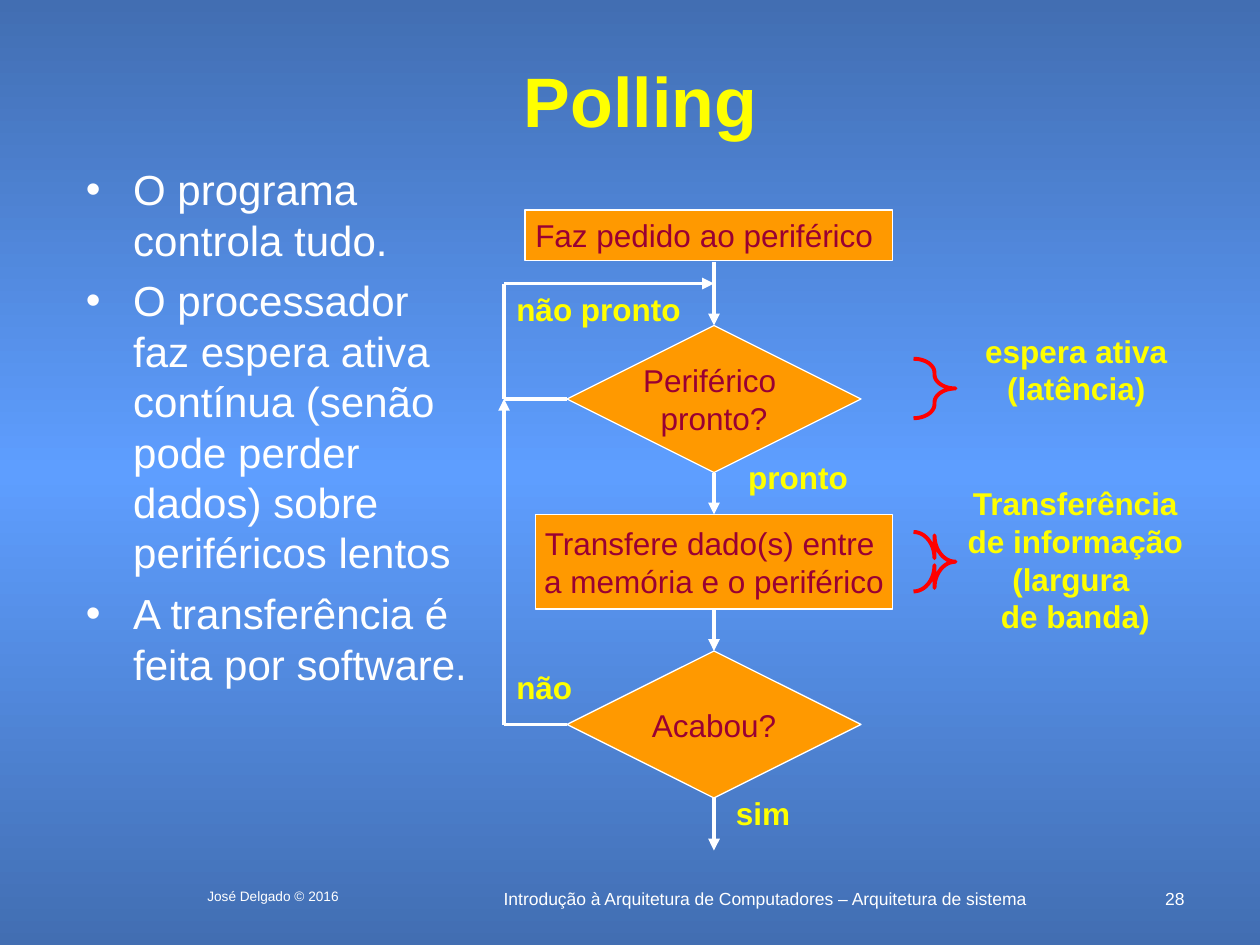
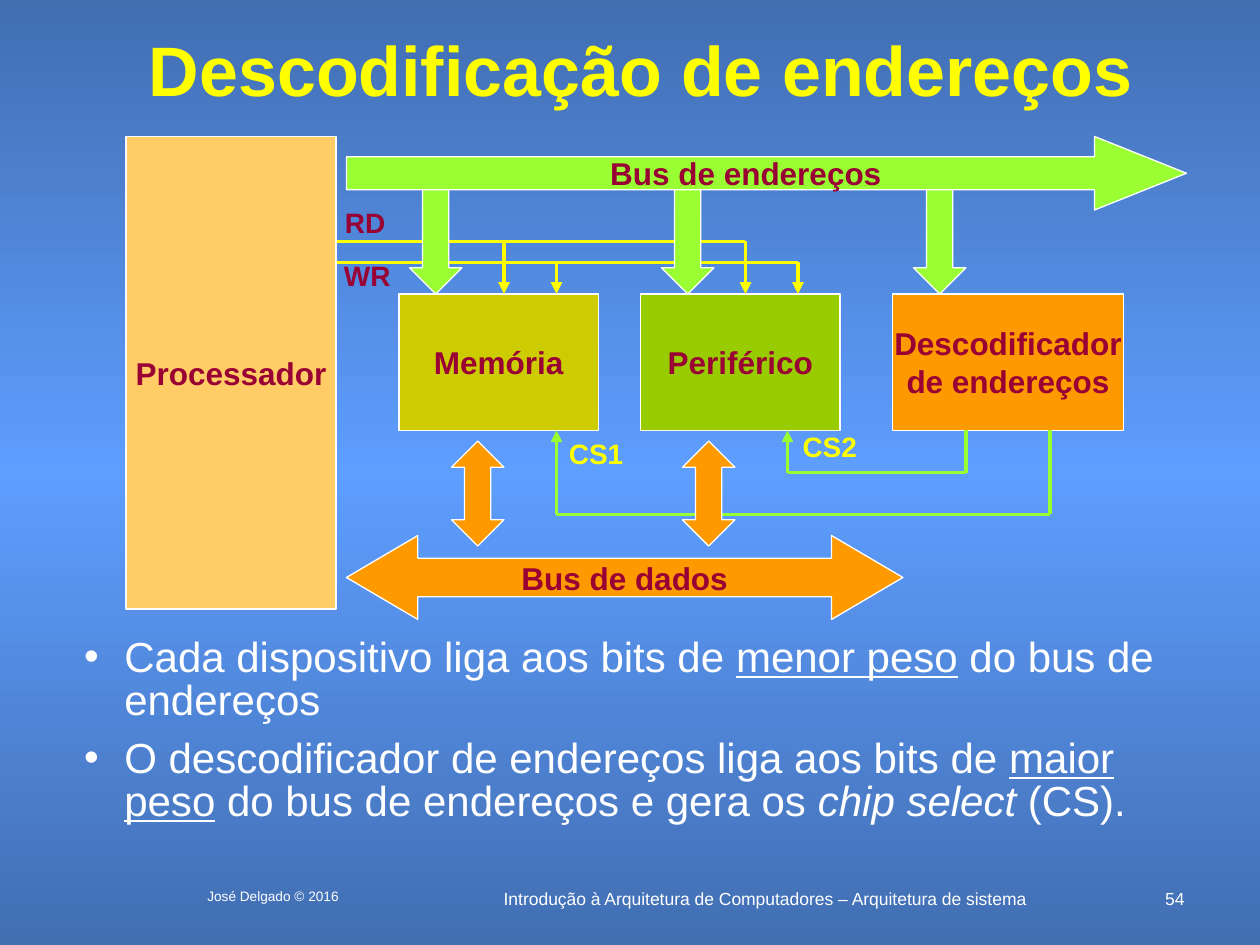
from collections import namedtuple
from copy import deepcopy
from math import cos, pi, sin

from lxml import etree
from pptx import Presentation
from pptx.dml.color import RGBColor
from pptx.enum.shapes import MSO_CONNECTOR, MSO_SHAPE
from pptx.enum.text import MSO_ANCHOR, MSO_AUTO_SIZE, PP_ALIGN
from pptx.oxml.ns import qn
from pptx.util import Pt

STRAIGHT = MSO_CONNECTOR.STRAIGHT
RECTANGLE, DIAMOND = MSO_SHAPE.RECTANGLE, MSO_SHAPE.DIAMOND
DOWN_ARROW, RIGHT_ARROW = MSO_SHAPE.DOWN_ARROW, MSO_SHAPE.RIGHT_ARROW
UP_DOWN_ARROW, LEFT_RIGHT_ARROW = MSO_SHAPE.UP_DOWN_ARROW, MSO_SHAPE.LEFT_RIGHT_ARROW
LEFT, CENTER, RIGHT = PP_ALIGN.LEFT, PP_ALIGN.CENTER, PP_ALIGN.RIGHT
TOP, MIDDLE = MSO_ANCHOR.TOP, MSO_ANCHOR.MIDDLE
FIT_SHAPE = MSO_AUTO_SIZE.SHAPE_TO_FIT_TEXT

SITE_TOP, SITE_LEFT, SITE_BOTTOM = 0, 1, 2

FONT = "Arial"
WHITE, YELLOW, RED, MAROON = "FFFFFF", "FFFF00", "FF0000", "990033"
ORANGE, SAND, LIME = "FF9900", "FFCC66", "99FF33"
OLIVE, GREEN = "CCCC00", "99CC00"
EDGE_BLUE, MID_BLUE = "426EB2", "5E9EFF"

COURSE = "Introdução à Arquitetura de Computadores – Arquitetura de sistema"
AUTHOR = "José Delgado © 2016"

Box = namedtuple("Box", "x y w h")


def color(value):
    return RGBColor.from_string(value)


def within(box, x, y, w, h):
    return Box(box.x + x, box.y + y, w, h)


def points_of(box):
    return [Pt(length) for length in box]


# ---- Text ----
def style_span(span, size, ink, bold=False):
    span.font.name = FONT
    span.font.size = Pt(size)
    span.font.bold = bold
    span.font.color.rgb = color(ink)


def write(frame, text, size, ink, bold=False, align=CENTER, anchor=TOP, wrap=True):
    frame.text = text
    frame.word_wrap = wrap
    frame.vertical_anchor = anchor
    for para in frame.paragraphs:
        para.alignment = align
        for span in para.runs:
            style_span(span, size, ink, bold)


def add_text(page, box, text, size, ink=WHITE, **options):
    frame = page.shapes.add_textbox(*points_of(box)).text_frame
    write(frame, text, size, ink, **options)
    return frame


def add_label(page, box, text, size=18, ink=YELLOW, align=CENTER):
    frame = add_text(page, box, text, size, ink, bold=True, align=align, wrap=False)
    frame.auto_size = FIT_SHAPE


def add_bullets(page, box, items, indent, gap, spacing=None):
    """Each item is a list of (text, style); style is "", "underline" or "italic"."""
    frame = page.shapes.add_textbox(*points_of(box)).text_frame
    frame.word_wrap = True
    for index, item in enumerate(items):
        para = frame.add_paragraph() if index else frame.paragraphs[0]
        if index:
            para.space_before = Pt(gap)
        if spacing:
            para.line_spacing = spacing
        settings = para._p.get_or_add_pPr()
        settings.set("marL", str(Pt(indent)))
        settings.set("indent", str(-Pt(indent)))
        tint = etree.SubElement(settings, qn("a:buClr"))
        etree.SubElement(tint, qn("a:srgbClr"), val=WHITE)
        etree.SubElement(settings, qn("a:buFont"), typeface=FONT)
        etree.SubElement(settings, qn("a:buChar"), char="•")
        for text, style in item:
            span = para.add_run()
            span.text = text
            style_span(span, 24, WHITE)
            if style:
                setattr(span.font, style, True)


# ---- Shapes and lines ----
def add_block(page, kind, box, fill, text="", bold=False, adjust=()):
    shape = page.shapes.add_shape(kind, *points_of(box))
    shape.shadow.inherit = False
    shape.fill.solid()
    shape.fill.fore_color.rgb = color(fill)
    shape.line.color.rgb = color(WHITE)
    shape.line.width = Pt(0.75)
    for index, value in enumerate(adjust):
        shape.adjustments[index] = value
    if text:
        write(shape.text_frame, text, 18, MAROON, bold, anchor=MIDDLE, wrap=False)
    return shape


def add_route(page, box, stops, ink, arrow=True, start=None, end=None):
    """Straight lines through stops; start and end are (shape, site) pairs."""
    lines = []
    for (x1, y1), (x2, y2) in zip(stops, stops[1:]):
        line = page.shapes.add_connector(
            STRAIGHT, Pt(box.x + x1), Pt(box.y + y1), Pt(box.x + x2), Pt(box.y + y2))
        line.line.color.rgb = color(ink)
        line.line.width = Pt(2.25)
        etree.SubElement(line._element.spPr, qn("a:effectLst"))
        lines.append(line)
    if arrow:
        outline = lines[-1].line._get_or_add_ln()
        etree.SubElement(outline, qn("a:tailEnd"), type="triangle")
    if start:
        lines[0].begin_connect(*start)
    if end:
        lines[-1].end_connect(*end)


def add_brace(page, box, curl, steps=12):
    """Right brace whose four quarter curves are each curl high."""
    middle, half = box.w / 2, box.h / 2
    angles = [pi / 2 * step / steps for step in range(steps + 1)]
    upper = [(middle * sin(a), curl * (1 - cos(a))) for a in angles]
    upper += [(middle * (2 - cos(a)), half - curl * (1 - sin(a))) for a in angles]
    lower = [(x, box.h - y) for x, y in reversed(upper)]
    trace = [(Pt(box.x + x), Pt(box.y + y)) for x, y in upper + lower]
    builder = page.shapes.build_freeform(*trace[0])
    builder.add_line_segments(trace[1:], close=False)
    brace = builder.convert_to_shape()
    brace.shadow.inherit = False
    brace.fill.background()
    brace.line.color.rgb = color(RED)
    brace.line.width = Pt(2.25)


# ---- Shared page ----
def add_page(deck, title, title_top, number):
    page = deck.slides.add_slide(deck.slide_layouts[6])
    fill = page.background.fill
    fill.gradient()
    fill.gradient_angle = 270
    stop_list = page._element.find(".//" + qn("a:gsLst"))
    stop_list.append(deepcopy(stop_list[0]))
    for index, ink in enumerate((EDGE_BLUE, MID_BLUE, EDGE_BLUE)):
        stop = fill.gradient_stops[index]
        stop.position = index / 2
        stop.color.rgb = color(ink)
    add_text(page, Box(54, title_top, 624, 54), title, 40, YELLOW, bold=True, anchor=MIDDLE)
    add_footer(page, Box(96, 504, 588, 18), number)
    return page


def add_footer(page, box, number):
    add_text(page, within(box, 0, 0, 120, box.h), AUTHOR, 7.8)
    add_text(page, within(box, 144, 0, 394, box.h), COURSE, 10)
    add_text(page, within(box, 558, 0, 30, 12), str(number), 10, align=RIGHT)


# ---- Polling ----
def add_polling_flow(page, box):
    axis, loop_top, first_loop, second_loop = 120, 42, 108, 294
    add_block(page, RECTANGLE, within(box, 12, 0, 210, 29), ORANGE, "Faz pedido ao periférico ")
    transfer = add_block(page, RECTANGLE, within(box, 18, 174, 204, 54), ORANGE,
                         "Transfere dado(s) entre \na memória e o periférico")
    ready, done = [
        add_block(page, DIAMOND, within(box, 36, top, 168, 84), ORANGE, text)
        for top, text in ((66, "Periférico \npronto?"), (252, "Acabou?"))]

    # Downward path
    add_route(page, box, [(axis, 30), (axis, 66)], WHITE, end=(ready, SITE_TOP))
    add_route(page, box, [(axis, 150), (axis, 174)], WHITE,
              start=(ready, SITE_BOTTOM), end=(transfer, SITE_TOP))
    add_route(page, box, [(axis, 228), (axis, 252)], WHITE,
              start=(transfer, SITE_BOTTOM), end=(done, SITE_TOP))
    add_route(page, box, [(axis, 336), (axis, 366)], WHITE, start=(done, SITE_BOTTOM))

    # Loops back
    add_route(page, box, [(36, first_loop), (0, first_loop), (0, loop_top), (axis, loop_top)],
              WHITE, start=(ready, SITE_LEFT))
    add_route(page, box, [(36, second_loop), (0, second_loop), (0, first_loop)],
              WHITE, start=(done, SITE_LEFT))

    # Branch names
    for x, y, width, text in ((-1, 42, 110, "não pronto"), (131, 138, 74, "pronto"),
                              (-1, 258, 48, "não"), (124, 330, 48, "sim")):
        add_label(page, within(box, x, y, width, 29), text)


def add_polling_costs(page, box):
    add_brace(page, within(box, 0, 19, 24, 34), 8)
    add_label(page, within(box, 33, 0, 120, 50), "espera ativa\n(latência)")
    add_brace(page, within(box, 0, 118, 24, 34), 15)
    add_label(page, within(box, 22, 87, 141, 94),
              "Transferência\nde informação\n(largura \nde banda)")


def build_polling(deck):
    page = add_page(deck, "Polling", 30, 28)
    items = ("O programa controla tudo.",
             "O processador faz espera ativa contínua (senão pode perder dados) "
             "sobre periféricos lentos",
             "A transferência é feita por software.")
    add_bullets(page, Box(42, 90, 237, 393), [[(text, "")] for text in items], 27, 6)
    add_polling_flow(page, Box(288, 120, 222, 366))
    add_polling_costs(page, Box(522, 186, 163, 181))


# ---- Address decoding ----
def add_decoding_diagram(page, box):
    device_top, device_height = 90, 78
    device_bottom = device_top + device_height
    signals = ((60, (216, 354)), (72, (246, 384)))

    # Control lines
    for level, drops in signals:
        add_route(page, box, [(120, level), (drops[-1], level)], YELLOW, arrow=False)

    # Units
    add_block(page, RECTANGLE, within(box, 0, 0, 120, 270), SAND, "Processador", True)
    for left, width, fill, text in (
            (156, 114, OLIVE, "Memória"), (294, 114, GREEN, "Periférico"),
            (438, 132, ORANGE, "Descodificador\nde endereços")):
        add_block(page, RECTANGLE, within(box, left, device_top, width, device_height),
                  fill, text, True)

    # Chip selects, from decoder to device
    for source, target, level in ((528, 246, 216), (480, 378, 192)):
        add_route(page, box, [(source, device_bottom), (source, level),
                              (target, level), (target, device_bottom)], LIME)

    # Buses and their branches
    add_block(page, LEFT_RIGHT_ARROW, within(box, 126, 228, 318, 48), ORANGE,
              "Bus de dados", True, (0.46, 0.85))
    for left in (186, 318):
        add_block(page, UP_DOWN_ARROW, within(box, left, 174, 30, 60), ORANGE,
                  adjust=(0.4, 0.5))
    for index in range(3):
        add_block(page, DOWN_ARROW, within(box, 162 + 144 * index, 30, 30, 60), LIME)
    for level, drops in signals:
        for drop in drops:
            add_route(page, box, [(drop, level), (drop, device_top)], YELLOW)
    add_block(page, RIGHT_ARROW, within(box, 126, 0, 480, 42), LIME,
              "Bus de endereços", True, (0.45, 1.25))

    # Signal names
    for x, y, width, text, ink in (
            (246, 168, 48, "CS1", YELLOW), (379.5, 164, 48, "CS2", YELLOW),
            (118, 36, 40, "RD", MAROON), (117.5, 66, 44, "WR", MAROON)):
        add_label(page, within(box, x, y, width, 27), text, 16, ink, LEFT)


def build_decoding(deck):
    page = add_page(deck, "Descodificação de endereços", 12, 54)
    add_decoding_diagram(page, Box(72, 78, 606, 276))
    add_bullets(page, Box(41, 361, 648, 120), [
        [("Cada dispositivo liga aos bits de ", ""), ("menor peso", "underline"),
         (" do bus de endereços", "")],
        [("O descodificador de endereços liga aos bits de ", ""), ("maior peso", "underline"),
         (" do bus de endereços e gera os ", ""), ("chip select", "italic"), (" (CS).", "")],
    ], 23, 9, 0.85)


def main():
    deck = Presentation()
    deck.slide_width, deck.slide_height = Pt(720), Pt(540)
    build_polling(deck)
    build_decoding(deck)
    deck.save("out.pptx")


if __name__ == "__main__":
    main()
